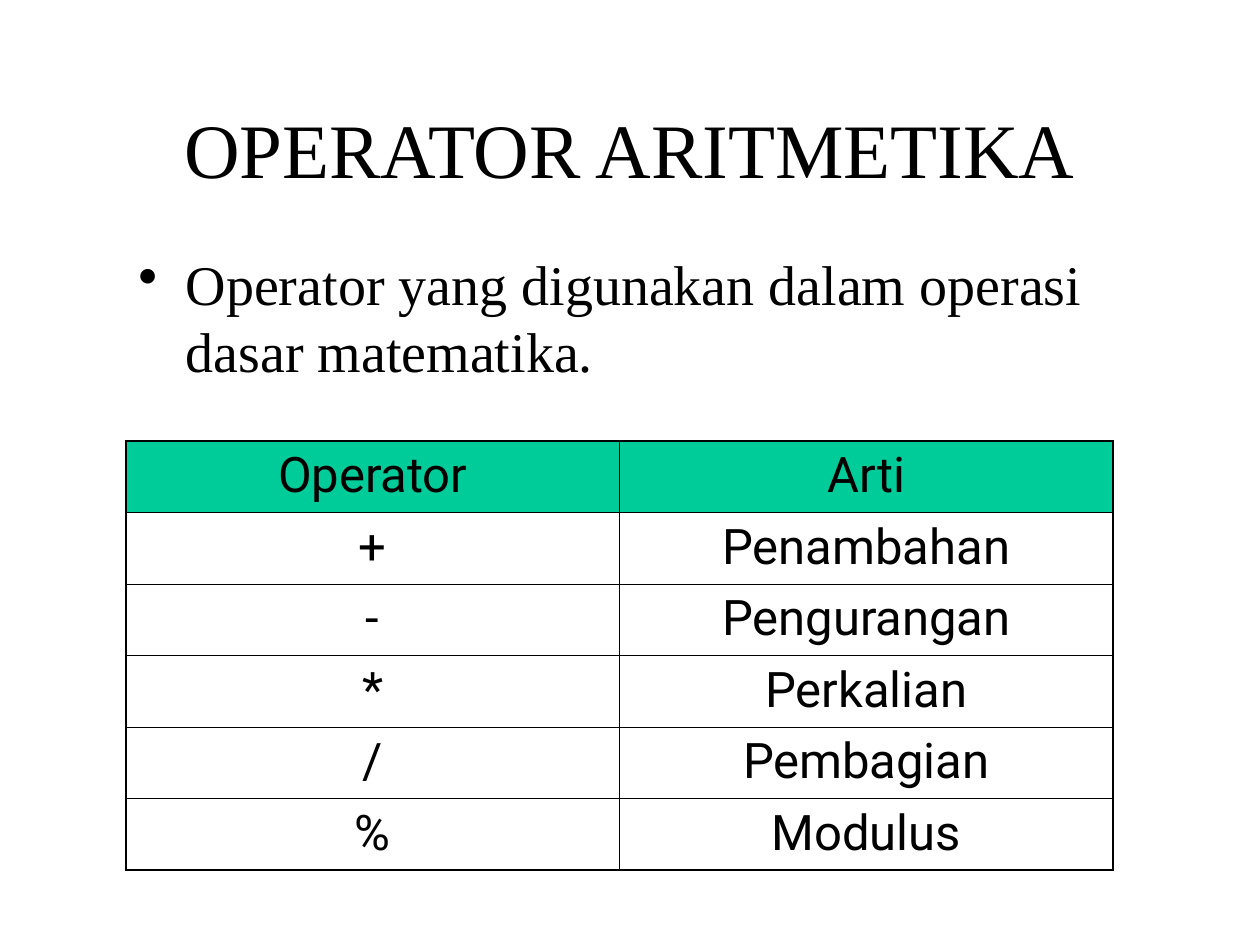
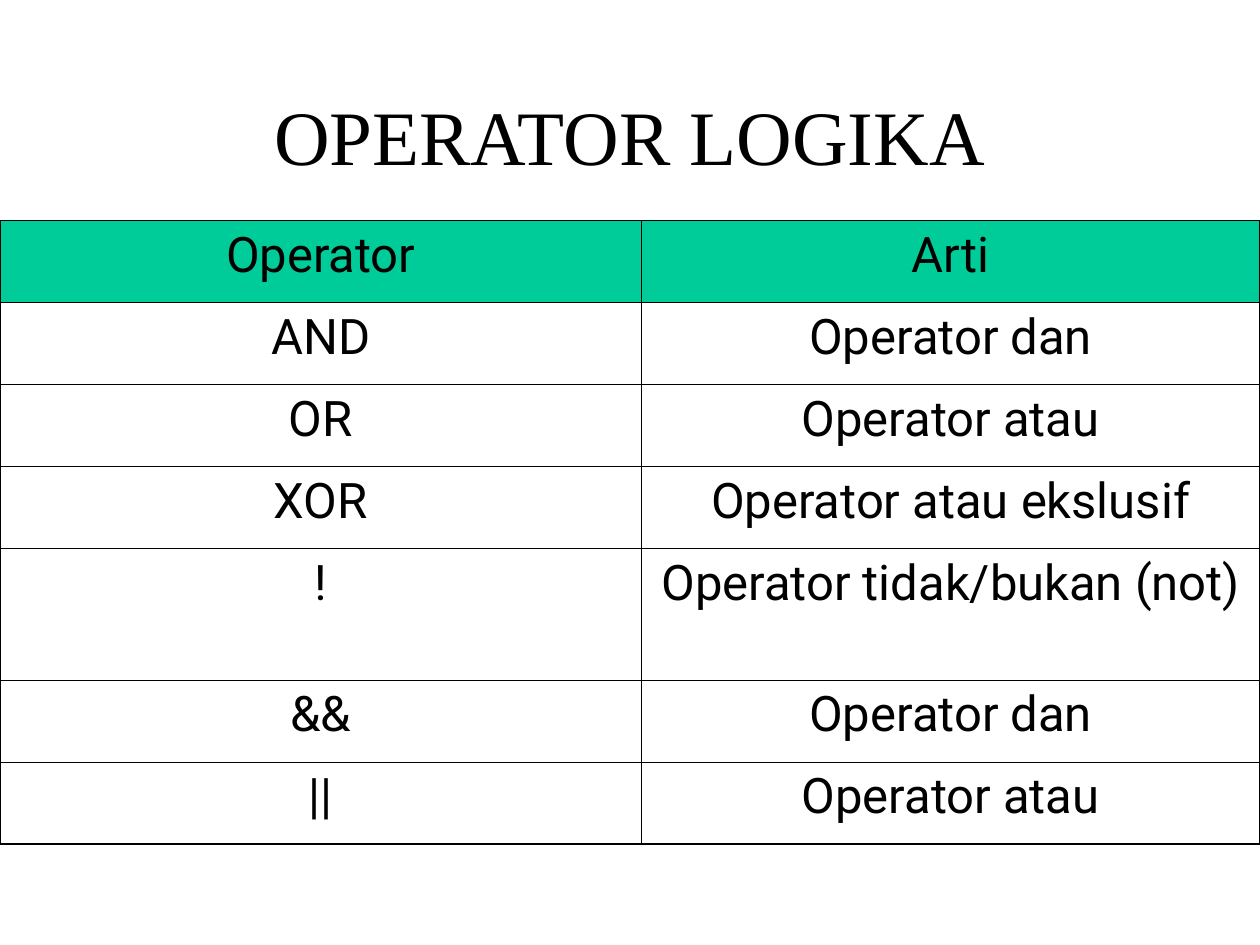
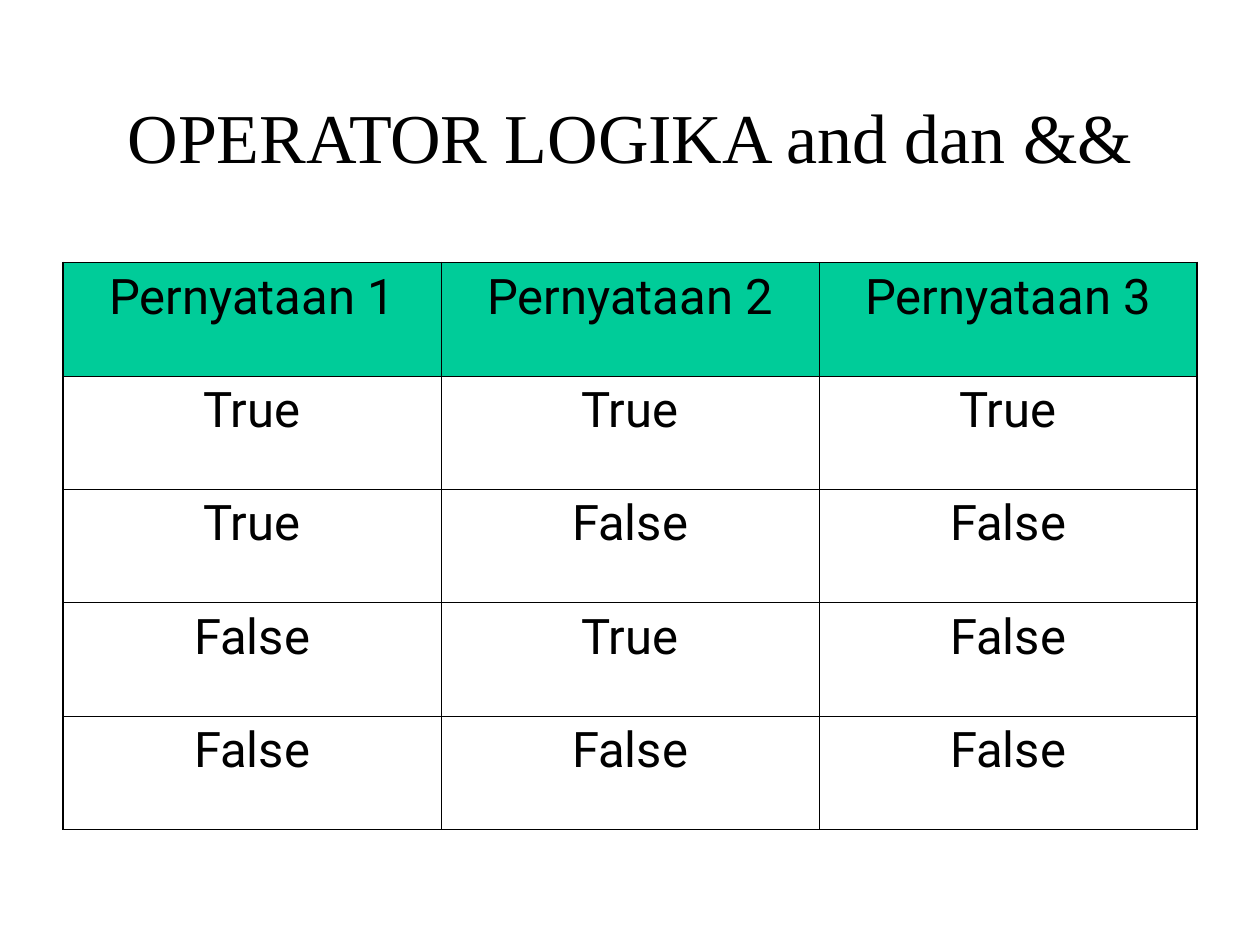
from lxml.etree import SubElement
from pptx import Presentation
from pptx.dml.color import RGBColor
from pptx.enum.text import MSO_ANCHOR as Anchor, PP_ALIGN as Align
from pptx.oxml import parse_xml
from pptx.oxml.ns import nsdecls, qn
from pptx.util import Pt

BLACK = RGBColor(0x00, 0x00, 0x00)
WHITE = RGBColor(0xFF, 0xFF, 0xFF)
HEADER_GREEN = RGBColor(0x00, 0xCC, 0x99)
SERIF = "Times New Roman"
SANS = "Roboto"
OUTER_LINE = Pt(1.08)
INNER_LINE = Pt(0.45)
TITLE_ONLY = 5


class Deck:
    def __init__(self):
        self.presentation = Presentation()
        self.presentation.slide_width = Pt(720)
        self.presentation.slide_height = Pt(540)
        self.slide = None

    def add_slide(self, title, top, size=44):
        layout = self.presentation.slide_layouts[TITLE_ONLY]
        self.slide = self.presentation.slides.add_slide(layout)
        background = self.slide.background.fill
        background.solid()
        background.fore_color.rgb = WHITE
        shape = self.slide.shapes.title
        shape.left, shape.top = Pt(36), Pt(top)
        shape.width, shape.height = Pt(648), Pt(108.5)
        shape.text_frame.vertical_anchor = Anchor.MIDDLE
        paragraph = shape.text_frame.paragraphs[0]
        paragraph.alignment = Align.CENTER
        self.add_run(paragraph, title, size, SERIF)

    def add_run(self, paragraph, text, size, font_name):
        run = paragraph.add_run()
        run.text = text
        run.font.size = Pt(size)
        run.font.name = font_name
        run.font.bold = False
        run.font.color.rgb = BLACK

    def add_bullet(self, text, left, top, width, height):
        shape = self.slide.shapes.add_textbox(Pt(left), Pt(top), Pt(width), Pt(height))
        shape.text_frame.word_wrap = True
        paragraph = shape.text_frame.paragraphs[0]
        properties = paragraph._p.get_or_add_pPr()
        properties.set("marL", str(Pt(27)))
        properties.set("indent", str(-Pt(27)))
        SubElement(properties, qn("a:buChar"), char="•")
        self.add_run(paragraph, text, 32, SERIF)

    def add_table(self, rows, left, top, column_widths, row_heights):
        frame = self.slide.shapes.add_table(
            len(rows), len(column_widths), Pt(left), Pt(top),
            Pt(sum(column_widths)), Pt(sum(row_heights)))
        table = frame.table
        table.first_row = False
        table.horz_banding = False
        for column, width in zip(table.columns, column_widths):
            column.width = Pt(width)
        for row, height in zip(table.rows, row_heights):
            row.height = Pt(height)
        last_row, last_column = len(rows) - 1, len(column_widths) - 1
        for row_index, texts in enumerate(rows):
            for column_index, text in enumerate(texts):
                cell = table.cell(row_index, column_index)
                self.fill_cell(cell, text, is_header=row_index == 0)
                self.add_borders(cell, {
                    "lnL": column_index == 0,
                    "lnR": column_index == last_column,
                    "lnT": row_index == 0,
                    "lnB": row_index == last_row,
                })

    def fill_cell(self, cell, text, is_header):
        if is_header:
            cell.fill.solid()
            cell.fill.fore_color.rgb = HEADER_GREEN
        else:
            cell.fill.background()
        paragraph = cell.text_frame.paragraphs[0]
        paragraph.alignment = Align.CENTER
        self.add_run(paragraph, text, 28, SANS)

    def add_borders(self, cell, outer_sides):
        properties = cell._tc.get_or_add_tcPr()
        for position, (side, is_outer) in enumerate(outer_sides.items()):
            width = OUTER_LINE if is_outer else INNER_LINE
            properties.insert(position, parse_xml(
                f'<a:{side} {nsdecls("a")} w="{width}"><a:solidFill>'
                f'<a:srgbClr val="{BLACK}"/></a:solidFill></a:{side}>'))

    def save(self):
        self.presentation.save("out.pptx")


def main():
    deck = Deck()

    deck.add_slide("OPERATOR ARITMETIKA", top=30)
    deck.add_bullet("Operator yang digunakan dalam operasi dasar matematika.",
                    72, 139, 588, 324)
    arithmetic = [
        ("Operator", "Arti"),
        ("+", "Penambahan"),
        ("-", "Pengurangan"),
        ("*", "Perkalian"),
        ("/", "Pembagian"),
        ("%", "Modulus"),
    ]
    deck.add_table(arithmetic, 72, 252, [282] * 2, [40.8] * len(arithmetic))

    deck.add_slide("OPERATOR LOGIKA", top=23)
    logic = [
        ("Operator", "Arti"),
        ("AND", "Operator dan"),
        ("OR", "Operator atau"),
        ("XOR", "Operator atau ekslusif"),
        ("!", "Operator tidak/bukan (not)"),
        ("&&", "Operator dan"),
        ("||", "Operator atau"),
    ]
    logic_heights = [75 if row[0] == "!" else 46.9 for row in logic]
    deck.add_table(logic, 0, 126, [366.5, 353.5], logic_heights)

    deck.add_slide("OPERATOR LOGIKA and dan &&", top=23, size=40)
    truth = [tuple(f"Pernyataan {number}" for number in (1, 2, 3))]
    for first in (True, False):
        for second in (True, False):
            truth.append((str(first), str(second), str(first and second)))
    deck.add_table(truth, 36, 150, [216] * 3, [64.8] * len(truth))

    deck.save()


if __name__ == "__main__":
    main()
